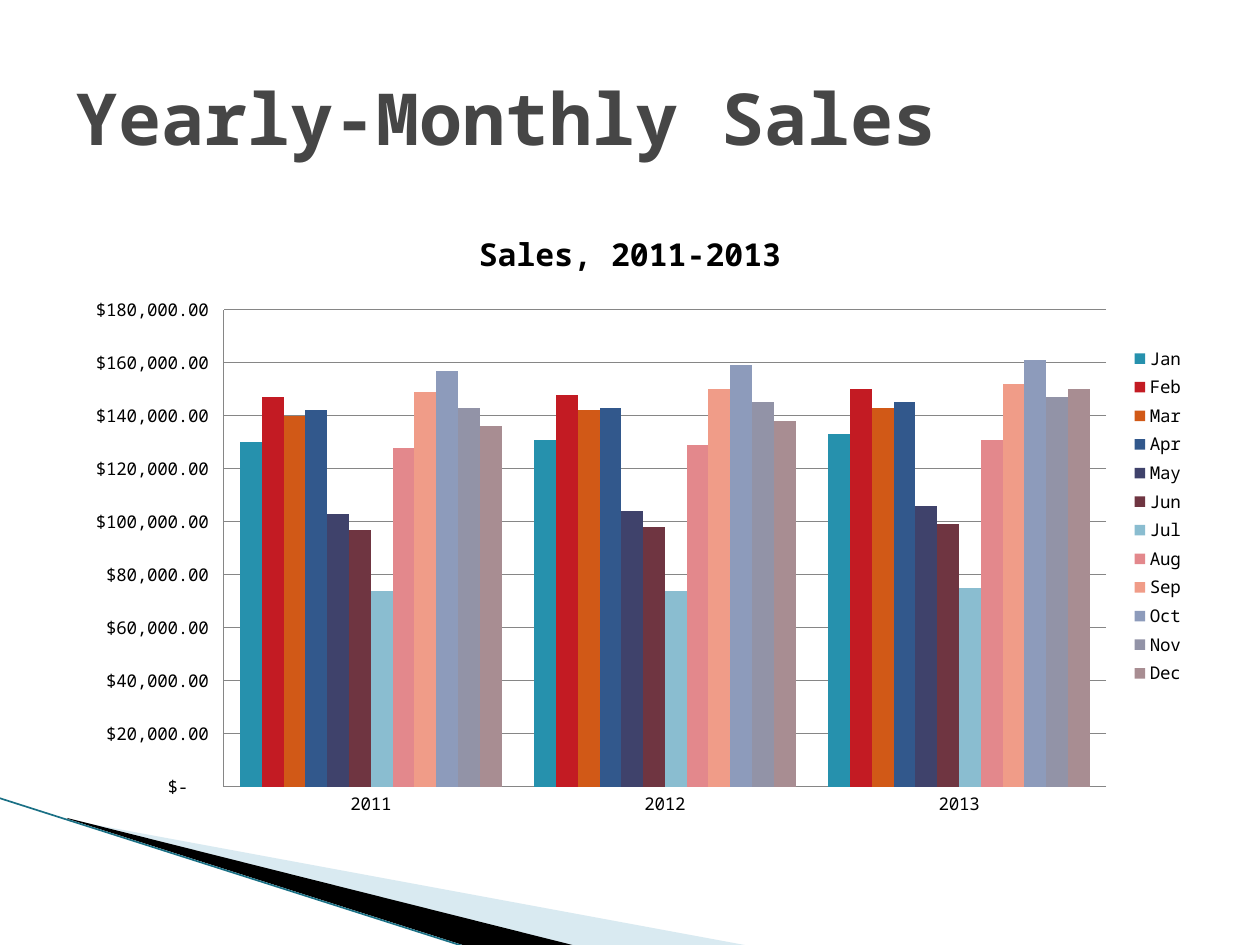
from dataclasses import dataclass

from lxml.etree import SubElement
from pptx import Presentation
from pptx.chart.data import CategoryChartData
from pptx.dml.color import RGBColor
from pptx.enum.chart import XL_CHART_TYPE as ChartType
from pptx.enum.chart import XL_LEGEND_POSITION as LegendPosition
from pptx.enum.chart import XL_TICK_MARK as TickMark
from pptx.enum.shapes import MSO_CONNECTOR as Connector
from pptx.enum.text import MSO_ANCHOR as Anchor
from pptx.enum.text import MSO_AUTO_SIZE as AutoSize
from pptx.enum.text import PP_ALIGN as Align
from pptx.oxml.ns import qn
from pptx.util import Inches, Pt


@dataclass(frozen=True)
class Theme:
    font: str = "Noto Sans Mono"
    title: str = "464646"
    text: str = "000000"
    pale: str = "A0CBDC"
    edge: str = "1A7085"
    grid: str = "868686"
    title_size: float = 41
    chart_title_size: float = 18
    label_size: float = 10


THEME = Theme()
EMU_PER_PIXEL = Inches(1) / 126
MONEY = '_("$"* #,##0.00_);_("$"* \\(#,##0.00\\);_("$"* "-"??_);_(@_)'
YEARS = ("2011", "2012", "2013")

# Month: bar colour, sales of the three years in thousands
SALES = {
    "Jan": ("2691AD", 130, 131, 133),
    "Feb": ("C31B23", 147, 148, 150),
    "Mar": ("D15917", 140, 142, 143),
    "Apr": ("32588C", 142, 143, 145),
    "May": ("3F426B", 103, 104, 106),
    "Jun": ("6F3541", 97, 98, 99),
    "Jul": ("8ABDD0", 74, 74, 75),
    "Aug": ("E3888C", 128, 129, 131),
    "Sep": ("F09C88", 149, 150, 152),
    "Oct": ("8D9BBB", 157, 159, 161),
    "Nov": ("9293A7", 143, 145, 147),
    "Dec": ("A88D92", 136, 138, 150),
}


def px(length):
    return round(length * EMU_PER_PIXEL)


def color(code):
    return RGBColor.from_string(code)


def style_font(font, size, code, bold=False):
    font.name = THEME.font
    font.size = Pt(size)
    font.bold = bold
    font.color.rgb = color(code)


def add_wedge(page, points, code, opacity=100):
    corners = [(px(x), px(y)) for x, y in points]
    builder = page.shapes.build_freeform(*corners[0], scale=1.0)
    builder.add_line_segments(corners[1:], close=True)
    wedge = builder.convert_to_shape()
    wedge.shadow.inherit = False
    wedge.fill.solid()
    wedge.fill.fore_color.rgb = color(code)
    wedge.line.fill.background()
    if opacity < 100:
        tint = wedge.fill._xPr.find(qn("a:solidFill"))[0]
        SubElement(tint, qn("a:alpha")).set("val", str(opacity * 1000))


def add_corner(page, left, top):
    """Sweeping bands at the foot of the page, placed from their left tip."""
    def place(*points):
        return [(left + x, top + y) for x, y in points]

    add_wedge(page, place((69, 22), (750, 148), (575, 148), (69, 21)), THEME.pale, 40)
    add_wedge(page, place((67, 20), (576, 148), (469, 149), (68, 21)), THEME.text)
    (x1, y1), (x2, y2) = place((-1, 0), (469, 150))
    edge = page.shapes.add_connector(Connector.STRAIGHT, px(x1), px(y1), px(x2), px(y2))
    edge.line.color.rgb = color(THEME.edge)
    edge.line.width = Pt(0.95)
    SubElement(edge._element.spPr, qn("a:effectLst"))


def set_title(page, text, left, top, width, height):
    title = page.shapes.title
    title.left, title.top, title.width, title.height = map(px, (left, top, width, height))
    frame = title.text_frame
    frame.text = text
    frame.word_wrap = True
    frame.auto_size = AutoSize.NONE
    frame.vertical_anchor = Anchor.MIDDLE
    paragraph = frame.paragraphs[0]
    paragraph.alignment = Align.LEFT
    style_font(paragraph.runs[0].font, THEME.title_size, THEME.title, bold=True)


def style_axis(axis):
    axis.major_tick_mark = axis.minor_tick_mark = TickMark.NONE
    axis.format.line.color.rgb = color(THEME.grid)
    axis.format.line.width = Pt(0.75)
    style_font(axis.tick_labels.font, THEME.label_size, THEME.text)


def add_sales_chart(page, left, top, width, height):
    data = CategoryChartData(number_format=MONEY)
    data.categories = YEARS
    for month, (_, *thousands) in SALES.items():
        data.add_series(month, [value * 1000 for value in thousands])
    chart = page.shapes.add_chart(
        ChartType.COLUMN_CLUSTERED, *map(px, (left, top, width, height)), data
    ).chart
    style_font(chart.font, THEME.label_size, THEME.text)

    # Heading and legend
    chart.has_title = True
    heading = chart.chart_title.text_frame
    heading.text = "Sales, 2011-2013"
    style_font(heading.paragraphs[0].runs[0].font, THEME.chart_title_size, THEME.text, bold=True)
    chart.chart_title.include_in_layout = False
    chart.has_legend = True
    chart.legend.position = LegendPosition.RIGHT
    chart.legend.include_in_layout = False
    style_font(chart.legend.font, THEME.label_size, THEME.text)

    # Axes
    style_axis(chart.category_axis)
    values = chart.value_axis
    style_axis(values)
    values.minimum_scale, values.maximum_scale, values.major_unit = 0, 180000, 20000
    values.tick_labels.number_format = MONEY
    values.tick_labels.number_format_is_linked = False
    values.has_major_gridlines = True
    values.major_gridlines.format.line.color.rgb = color(THEME.grid)
    values.major_gridlines.format.line.width = Pt(0.75)

    # Bars
    plot = chart.plots[0]
    plot.vary_by_categories = False
    plot.gap_width = 150
    plot.overlap = 0
    for bars, (code, *_) in zip(plot.series, SALES.values()):
        bars.invert_if_negative = False
        bars.format.fill.solid()
        bars.format.fill.fore_color.rgb = color(code)


def build_sales_page(deck):
    page = deck.slides.add_slide(deck.slide_layouts.get_by_name("Title Only"))
    add_corner(page, 0, 798)
    set_title(page, "Yearly-Monthly Sales", 63, 38, 1134, 157)
    add_sales_chart(page, 63, 204, 1134, 624)


deck = Presentation()
deck.slide_width, deck.slide_height = px(1260), px(945)
build_sales_page(deck)
deck.save("out.pptx")
